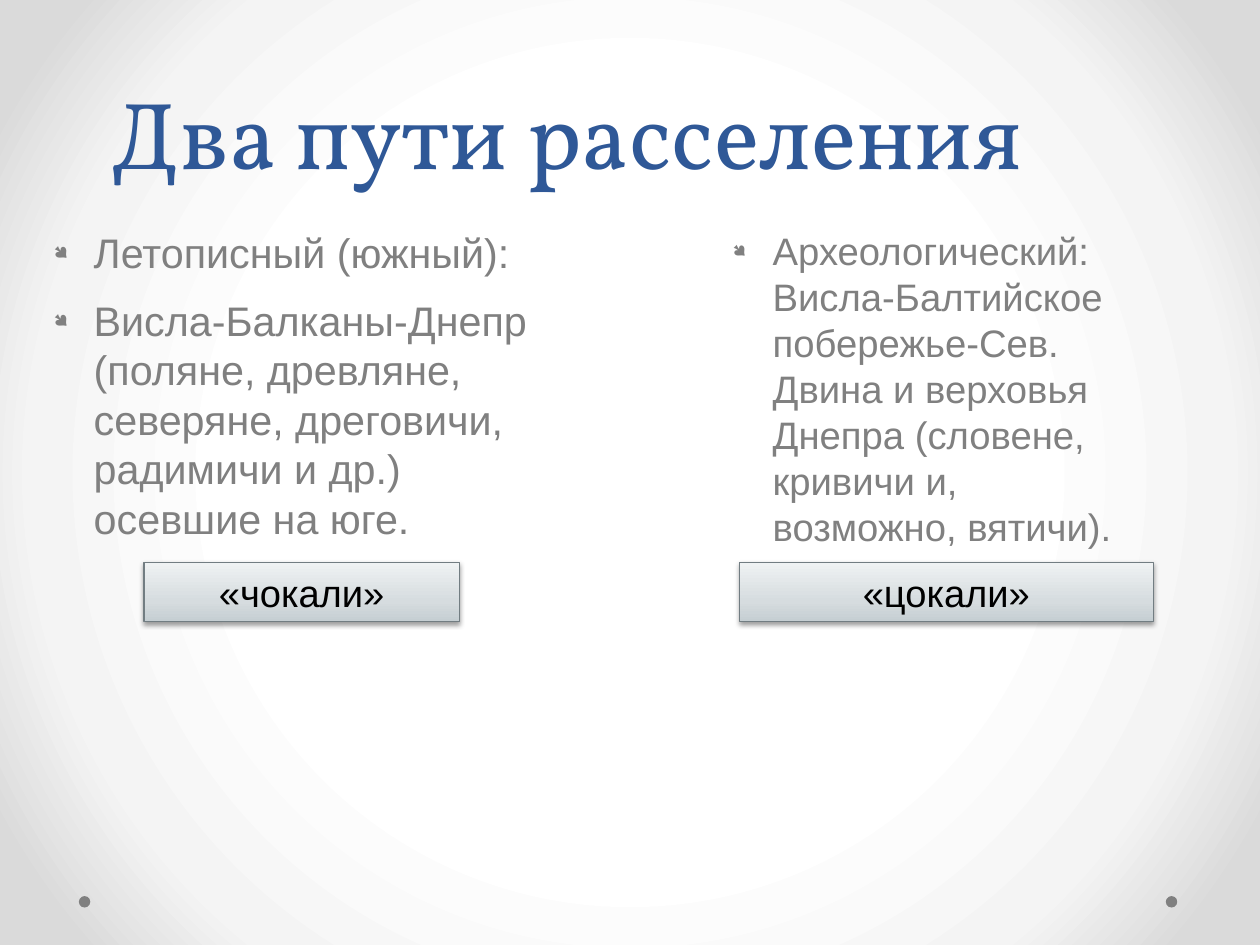
from lxml import etree
from pptx import Presentation, util as u
from pptx.enum import shapes, text
from pptx.dml.color import RGBColor
from pptx.oxml import parse_xml
from pptx.oxml.ns import nsdecls, qn

COLORS = {"title": "2F5897", "body": "808080", "label": "000000", "edge": "727D82"}
PAGE_STOPS = [(50, "FFFFFF"), (76, "F4F4F4"), (92, "DADADA")]
LABEL_STOPS = [(0, "C5CED2"), (35, "D6DCDF"), (100, "EFF2F3")]
W, H = u.Cm(28), u.Cm(21)


def gradient(stops, direction):
    gs = "".join(f'<a:gs pos="{pos * 1000}"><a:srgbClr val="{c}"/></a:gs>' for pos, c in stops)
    return parse_xml(f'<a:gradFill {nsdecls("a")} rotWithShape="1">'
                     f"<a:gsLst>{gs}</a:gsLst>{direction}</a:gradFill>")


def write(sp, lines, size, color, font="Arial", align=text.PP_ALIGN.LEFT,
          anchor=text.MSO_ANCHOR.TOP, inset=(0.11, 0.06), wrap=True,
          spacing=None, bullets=False):
    tf = sp.text_frame
    tf.auto_size = text.MSO_AUTO_SIZE.NONE
    tf.word_wrap = wrap
    tf.vertical_anchor = anchor
    tf.margin_left = tf.margin_right = u.Inches(inset[0])
    tf.margin_top = tf.margin_bottom = u.Inches(inset[1])
    for i, line in enumerate(lines):
        p = tf.add_paragraph() if i else tf.paragraphs[0]
        if bullets:
            pPr = p._p.get_or_add_pPr()
            pPr.set("marL", str(u.Inches(0.47)))
            pPr.set("indent", str(u.Inches(-0.35)))
            etree.SubElement(pPr, qn("a:buSzPct")).set("val", "45000")
            bu_font = etree.SubElement(pPr, qn("a:buFont"))
            bu_font.set("typeface", "Wingdings")
            bu_font.set("charset", "2")
            etree.SubElement(pPr, qn("a:buChar")).set("char", "●")
            p.space_after = u.Pt(11.5)
        p.alignment = align
        p.line_spacing = spacing
        r = p.add_run()
        r.text = line
        r.font.name = font
        r.font.size = u.Pt(size)
        r.font.color.rgb = RGBColor.from_string(COLORS[color])


prs = Presentation()
prs.slide_width, prs.slide_height = W, H
s = prs.slides.add_slide(prs.slide_layouts[5])

# Radial background
bg = parse_xml(f'<p:bg {nsdecls("p", "a")}><p:bgPr><a:effectLst/></p:bgPr></p:bg>')
bg[0].insert(0, gradient(PAGE_STOPS, '<a:path path="circle"><a:fillToRect '
                         'l="50000" t="50000" r="50000" b="50000"/></a:path>'))
s._element.cSld.insert(0, bg)

# Corner dots
for x in (0.69, 10.2):
    dot = s.shapes.add_shape(shapes.MSO_SHAPE.OVAL, u.Inches(x), u.Inches(7.84),
                             u.Inches(0.1), u.Inches(0.1))
    dot.shadow.inherit = False
    dot.fill.solid()
    dot.fill.fore_color.rgb = RGBColor.from_string(COLORS["body"])
    dot.line.fill.background()

# Title
title = s.shapes.title
title.left, title.top = 0, int(H * 0.04)
title.width, title.height = int(W * 0.9), H // 6
write(title, ["Два пути расселения"], 60, "title", font="Vollkorn", spacing=u.Pt(63.9),
      align=text.PP_ALIGN.CENTER, anchor=text.MSO_ANCHOR.BOTTOM)

# Two routes: text left, width, size, lines, then label left, width, wording
routes = [
    (0.24, 4.61, 26,
     ["Летописный (южный):",
      "Висла-Балканы-Днепр (поляне, древляне, северяне, дреговичи, "
      "радимичи и др.) осевшие на юге."],
     1.26, 2.76, "«чокали»"),
    (6.18, 3.98, 24.1,
     ["Археологический: Висла-Балтийское побережье-Сев. Двина и верховья "
      "Днепра (словене, кривичи и, возможно, вятичи)."],
     6.47, 3.62, "«цокали»"),
]
for left, width, size, lines, label_left, label_width, label in routes:
    body = s.shapes.add_textbox(u.Inches(left), u.Inches(1.93), u.Inches(width), u.Inches(2.65))
    write(body, lines, size, "body", bullets=True)

    sp = s.shapes.add_shape(shapes.MSO_SHAPE.RECTANGLE, u.Inches(label_left), u.Inches(4.92),
                            u.Inches(label_width), u.Inches(0.52))
    sp.fill.background()
    spPr = sp._element.spPr
    spPr.replace(spPr.find(qn("a:noFill")),
                 gradient(LABEL_STOPS, '<a:lin ang="16200000" scaled="0"/>'))
    sp.line.color.rgb = RGBColor.from_string(COLORS["edge"])
    sp.line.width = u.Pt(0.75)
    sp.shadow.inherit = False
    spPr.find(qn("a:effectLst")).append(parse_xml(
        f'<a:outerShdw {nsdecls("a")} blurRad="{u.Pt(3.1)}" dist="{u.Pt(1.6)}" dir="5400000" '
        'rotWithShape="0"><a:srgbClr val="000000"><a:alpha val="38000"/></a:srgbClr>'
        '</a:outerShdw>'))
    write(sp, [label], 24, "label", align=text.PP_ALIGN.CENTER,
          anchor=text.MSO_ANCHOR.MIDDLE, inset=(0.1, 0.05), wrap=False)

prs.save("out.pptx")
